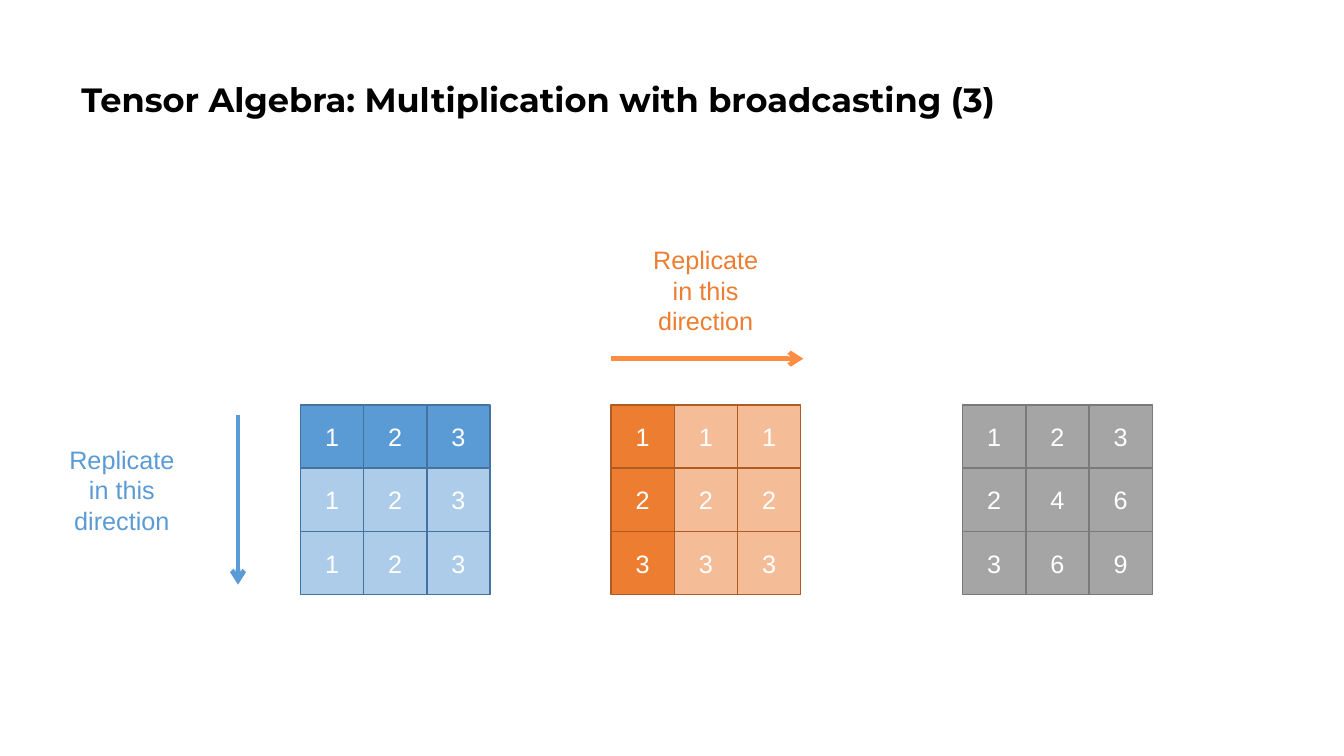
"""Build a slide on tensor multiplication with broadcasting."""
from dataclasses import dataclass
from typing import Callable

from lxml.etree import SubElement
from pptx import Presentation
from pptx.dml.color import RGBColor
from pptx.enum.shapes import MSO_CONNECTOR, MSO_SHAPE
from pptx.enum.text import MSO_ANCHOR, MSO_AUTO_SIZE, PP_ALIGN
from pptx.oxml.ns import qn
from pptx.slide import Slide
from pptx.text.text import TextFrame
from pptx.util import Pt

RECT = MSO_SHAPE.RECTANGLE
LINE = MSO_CONNECTOR.STRAIGHT
MIDDLE = MSO_ANCHOR.MIDDLE
CENTER = PP_ALIGN.CENTER
LEFT = PP_ALIGN.LEFT
GROW = MSO_AUTO_SIZE.SHAPE_TO_FIT_TEXT

BLUE, ORANGE, GRAY, WHITE = "5B9BD5", "ED7D31", "A5A5A5", "FFFFFF"
SIZE = 3
CELL = 45.15
TOP = 289.2


@dataclass
class Grid:
    """A square tensor with rules for its values and faded cells."""
    left: float
    fill: str
    edge: str
    value: Callable[[int, int], int]
    faded: Callable[[int, int], bool]


@dataclass
class Arrow:
    """A replication arrow."""
    x1: float
    y1: float
    x2: float
    y2: float
    hue: str


@dataclass
class Label:
    """A text box with one paragraph."""
    left: float
    top: float
    width: float
    height: float
    text: str
    hue: str


GRIDS = [
    Grid(214.6, BLUE, "43739E", lambda row, col: col, lambda row, col: row > 1),
    Grid(436.5, ORANGE, "AF5C24", lambda row, col: row, lambda row, col: col > 1),
    Grid(687.6, GRAY, "7A7A7A", lambda row, col: row * col, lambda row, col: False),
]
ARROWS = [
    Arrow(170, 296.7, 170, 417.6, BLUE),
    Arrow(436.5, 256.2, 573.8, 256.2, "FF8D41"),
]
HINT = "Replicate in this direction"
HINTS = [
    Label(35.2, 313.9, 103.7, 72.7, HINT, BLUE),
    Label(452.2, 171.2, 103.7, 72.7, HINT, ORANGE),
]
TITLE = Label(51.1, 20.2, 828, 104.4,
              "Tensor Algebra: Multiplication with broadcasting (3)", "000000")


def color(code: str) -> RGBColor:
    """Turn a hex string into a colour."""
    return RGBColor.from_string(code)


def write(frame: TextFrame, text: str, hue: str, font: str = "Arial",
          size: float = 18, bold: bool = False, align: PP_ALIGN = CENTER) -> None:
    """Fill a frame with one formatted paragraph."""
    frame.text = text
    frame.word_wrap = True
    para = frame.paragraphs[0]
    para.alignment = align
    face = para.runs[0].font
    face.name, face.size, face.bold = font, Pt(size), bold
    face.color.rgb = color(hue)


def add_box(slide: Slide, label: Label) -> TextFrame:
    """Add an empty text box for a label."""
    box = slide.shapes.add_textbox(Pt(label.left), Pt(label.top),
                                   Pt(label.width), Pt(label.height))
    return box.text_frame


def add_title(slide: Slide, label: Label) -> None:
    """Add the slide heading."""
    frame = add_box(slide, label)
    frame.vertical_anchor = MIDDLE
    write(frame, label.text, label.hue, "Montserrat", 24, True, LEFT)
    frame.paragraphs[0].line_spacing = 0.9


def add_hint(slide: Slide, label: Label) -> None:
    """Add a label beside an arrow."""
    frame = add_box(slide, label)
    write(frame, label.text, label.hue)
    frame.auto_size = GROW


def add_grid(slide: Slide, grid: Grid) -> None:
    """Draw the cells of a tensor."""
    for row in range(1, SIZE + 1):
        for col in range(1, SIZE + 1):
            cell = slide.shapes.add_shape(
                RECT, Pt(grid.left + (col - 1) * CELL),
                Pt(TOP + (row - 1) * CELL), Pt(CELL), Pt(CELL))
            cell.shadow.inherit = False
            cell.fill.solid()
            cell.fill.fore_color.rgb = color(grid.fill)
            cell.line.color.rgb = color(grid.edge)
            cell.line.width = Pt(1)
            if grid.faded(row, col):
                fill = cell.element.spPr.find(qn("a:solidFill"))
                SubElement(fill[0], qn("a:alpha"), val="50000")
            cell.text_frame.vertical_anchor = MIDDLE
            write(cell.text_frame, str(grid.value(row, col)), WHITE)


def add_arrow(slide: Slide, arrow: Arrow) -> None:
    """Draw a line with an open arrowhead at its end."""
    line = slide.shapes.add_connector(LINE, Pt(arrow.x1), Pt(arrow.y1),
                                      Pt(arrow.x2), Pt(arrow.y2))
    line.line.color.rgb = color(arrow.hue)
    line.line.width = Pt(3.25)
    props = line.element.spPr
    SubElement(props.find(qn("a:ln")), qn("a:tailEnd"), type="arrow")
    SubElement(props, qn("a:effectLst"))


def main() -> None:
    """Build and save the slide."""
    deck = Presentation()
    deck.slide_width, deck.slide_height = Pt(960), Pt(540)
    slide = deck.slides.add_slide(deck.slide_layouts[6])
    add_title(slide, TITLE)
    for grid in GRIDS:
        add_grid(slide, grid)
    for arrow in ARROWS:
        add_arrow(slide, arrow)
    for hint in HINTS:
        add_hint(slide, hint)
    deck.save("out.pptx")


if __name__ == "__main__":
    main()
